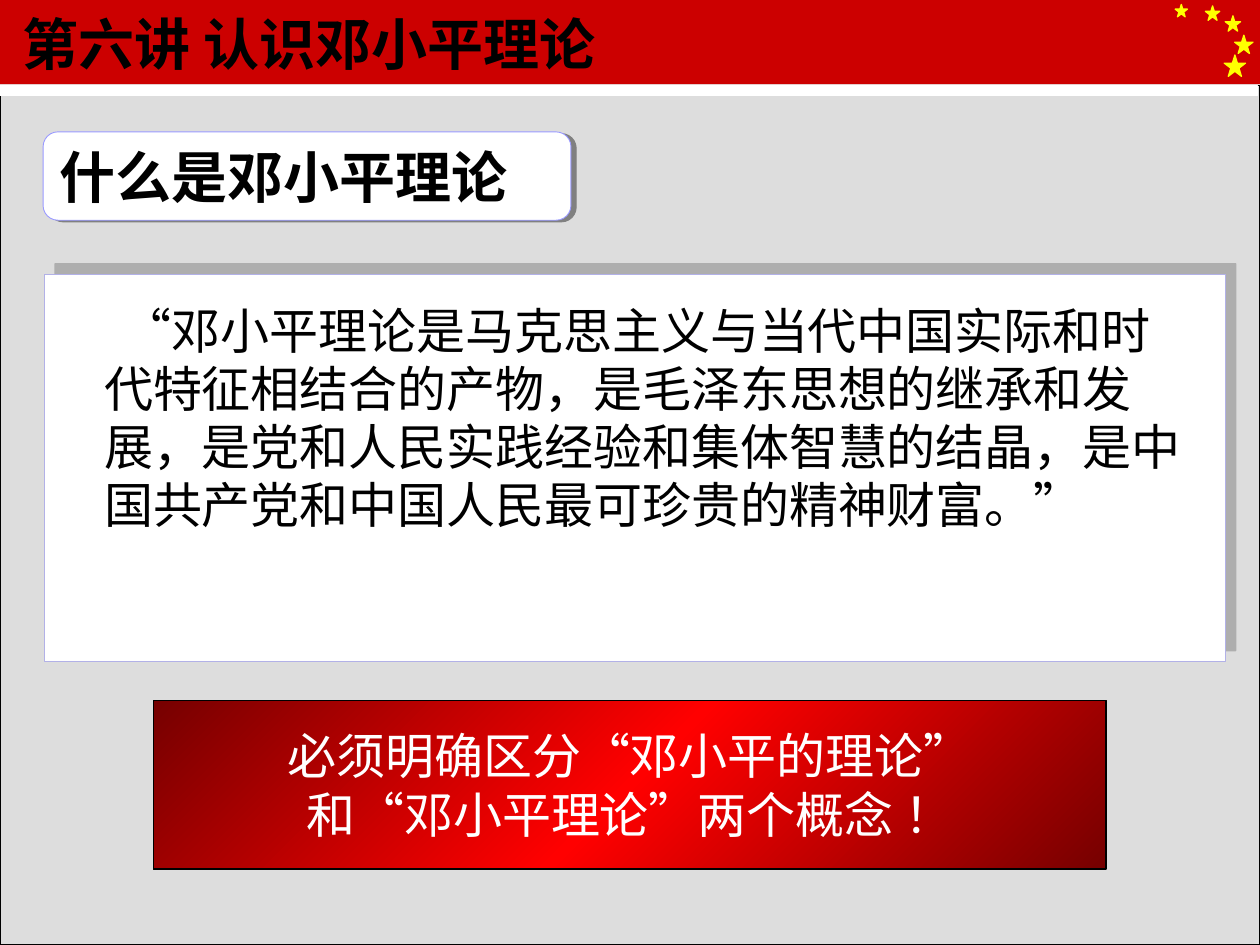
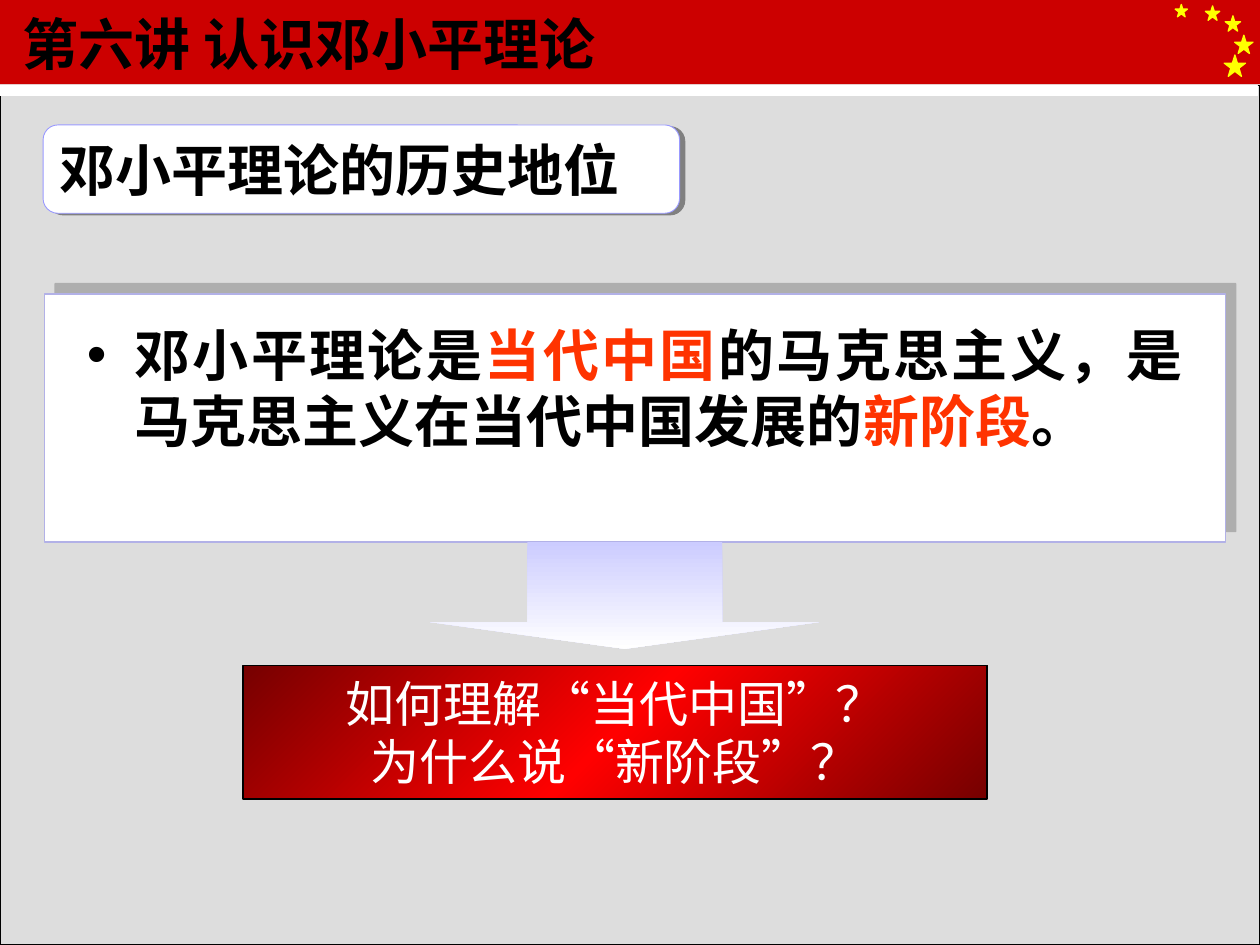
import dataclasses

import lxml.etree
import pptx
import pptx.dml.color
import pptx.enum.shapes
import pptx.enum.text
import pptx.oxml.ns
import pptx.util

Cm, Pt = pptx.util.Cm, pptx.util.Pt
SHAPE = pptx.enum.shapes.MSO_SHAPE
ALIGN = pptx.enum.text.PP_ALIGN
ANCHOR = pptx.enum.text.MSO_ANCHOR
qn = pptx.oxml.ns.qn


@dataclasses.dataclass(frozen=True)
class Theme:
    back: str = "EAEAEA"
    page: str = "DDDDDD"
    band: str = "CC0000"
    star: str = "FFFF00"
    white: str = "FFFFFF"
    ink: str = "000000"
    key: str = "FF3300"
    shade: str = "808080"
    edge: str = "B2B1E7"
    rim: str = "9999FF"
    glow: tuple = ("760000", "FF0000", "760000")
    fade: tuple = ("CCCCFF", "FFFFFF")
    font: str = "Noto Sans CJK SC"
    serif: str = "Times New Roman"
    head: int = 32
    body: int = 28


THEME = Theme()
TITLE = "第六讲 认识邓小平理论"
# left, top and size of each star, in cm
STARS = [(23.69, 0.09, 0.25), (24.3, 0.12, 0.29), (24.7, 0.32, 0.31),
         (24.89, 0.71, 0.37), (24.68, 1.11, 0.43)]
LEADING = 1.19


def rgb(code):
    return pptx.dml.color.RGBColor.from_string(code)


def add_node(parent, tag, **attrs):
    """Append a DrawingML element with the given attributes."""
    return lxml.etree.SubElement(
        parent, qn(tag), {name: str(value) for name, value in attrs.items()})


def add_form(slide, kind, left, top, width, height,
             fill=None, line=None, weight=0.75):
    """Add a preset shape, measured in cm, without a theme shadow."""
    form = slide.shapes.add_shape(
        kind, Cm(left), Cm(top), Cm(width), Cm(height))
    form.shadow.inherit = False
    if fill:
        form.fill.solid()
        form.fill.fore_color.rgb = rgb(fill)
    if line:
        form.line.color.rgb = rgb(line)
        form.line.width = Pt(weight)
    else:
        form.line.fill.background()
    return form


def set_blend(form, codes, angle):
    """Fill with evenly spaced colours; the angle runs clockwise."""
    form.fill.gradient()
    form.fill.gradient_angle = 360 - angle
    stops = form._element.spPr.find(qn("a:gradFill")).find(qn("a:gsLst"))
    for stop in list(stops):
        stops.remove(stop)
    for i, code in enumerate(codes):
        stop = add_node(stops, "a:gs", pos=100000 * i // (len(codes) - 1))
        add_node(stop, "a:srgbClr", val=code)


def set_shade(form, reach, angle, alpha):
    """Cast a hard shadow: reach in points, angle in degrees, alpha in %."""
    effects = form._element.spPr.find(qn("a:effectLst"))
    shade = add_node(effects, "a:outerShdw", blurRad=0, dist=int(Pt(reach)),
                     dir=angle * 60000, algn="ctr", rotWithShape=0)
    color = add_node(shade, "a:srgbClr", val=THEME.shade)
    add_node(color, "a:alpha", val=alpha * 1000)


def style_run(run, size, color, bold=False, font=THEME.font):
    run.font.size = Pt(size)
    run.font.bold = bold
    run.font.name = font
    run.font.color.rgb = rgb(color)
    add_node(run._r.get_or_add_rPr(), "a:ea", typeface=THEME.font)


def set_frame(frame, anchor, wrap=True):
    frame.word_wrap = wrap
    frame.vertical_anchor = anchor
    frame.margin_left = frame.margin_right = Cm(0.25)
    frame.margin_top = frame.margin_bottom = Cm(0.13)


def add_box(slide, left, top, width, height):
    return slide.shapes.add_textbox(
        Cm(left), Cm(top), Cm(width), Cm(height)).text_frame


def set_head(frame, text):
    """Write one bold heading line, centred in height."""
    set_frame(frame, ANCHOR.MIDDLE)
    frame.text = text
    para = frame.paragraphs[0]
    para.alignment = ALIGN.LEFT
    style_run(para.runs[0], THEME.head, THEME.ink, bold=True)


def add_page(deck):
    """Add a slide with the red band, stars, grey page and title."""
    slide = deck.slides.add_slide(deck.slide_layouts[6])
    slide.background.fill.solid()
    slide.background.fill.fore_color.rgb = rgb(THEME.back)
    add_form(slide, SHAPE.RECTANGLE, 0, 0, 25.4, 1.7, THEME.band)
    for left, top, size in STARS:
        add_form(slide, SHAPE.STAR_5_POINT, left, top, size, size,
                 THEME.star, THEME.star)
    add_form(slide, SHAPE.RECTANGLE, 0, 1.73, 25.4, 17.32,
             THEME.page, THEME.ink)
    add_form(slide, SHAPE.RECTANGLE, 0, 1.73, 25.35, 0.2,
             THEME.white, THEME.white)
    set_head(add_box(slide, 0.21, 0, 18.9, 1.73), TITLE)
    return slide


def add_label(slide, text, top, width):
    """Add the rounded heading of a slide."""
    label = add_form(slide, SHAPE.ROUNDED_RECTANGLE, 0.87, top, width, 1.78,
                     THEME.white, THEME.rim, 0.5)
    set_shade(label, 3.2, 18, 100)
    set_head(label.text_frame, text)


def add_panel(slide, top, height):
    panel = add_form(slide, SHAPE.RECTANGLE, 0.9, top, 23.8, height,
                     THEME.white, THEME.edge)
    set_shade(panel, 8.5, 315, 50)


def add_body(slide, place, parts, size, indent,
             bullet=None, bold=False, align=ALIGN.LEFT):
    """Write one paragraph from (text, colour) parts."""
    frame = add_box(slide, *place)
    set_frame(frame, ANCHOR.TOP)
    para = frame.paragraphs[0]
    props = para._p.get_or_add_pPr()
    props.set("marL", str(Cm(0.96)))
    props.set("indent", str(Cm(indent)))
    props.set("hangingPunct", "0")
    if bullet:
        add_node(props, "a:buFont", typeface="Arial")
        add_node(props, "a:buChar", char=bullet)
    para.alignment = align
    para.line_spacing = Pt(size * LEADING)
    for text, color in parts:
        run = para.add_run()
        run.text = text
        style_run(run, size, color, bold)


def add_call(slide, lines, left, top, width, height):
    """Add the red box with centred lines."""
    call = add_form(slide, SHAPE.RECTANGLE, left, top, width, height,
                    line=THEME.ink)
    set_blend(call, THEME.glow, 45)
    frame = call.text_frame
    set_frame(frame, ANCHOR.MIDDLE, wrap=False)
    frame.text = "\n".join(lines)
    for para in frame.paragraphs:
        para.alignment = ALIGN.CENTER
        para.line_spacing = Pt(THEME.body * LEADING)
        style_run(para.runs[0], THEME.body, THEME.white, font=THEME.serif)


def add_arrow(slide, left, top, width, height):
    arrow = add_form(slide, SHAPE.DOWN_ARROW, left, top, width, height)
    arrow.adjustments[0] = 0.5
    arrow.adjustments[1] = 0.25
    set_blend(arrow, THEME.fade, 90)


def add_theory(deck):
    slide = add_page(deck)
    add_panel(slide, 5.53, 7.8)
    quote = ("“邓小平理论是马克思主义与当代中国实际和时代特征相结合的产物，"
             "是毛泽东思想的继承和发展，是党和人民实践经验和集体智慧的结晶，"
             "是中国共产党和中国人民最可珍贵的精神财富。”")
    add_body(slide, (0.89, 5.93, 23.2, 7.2), [(quote, THEME.ink)],
             THEME.body, indent=0.38)
    add_label(slide, "什么是邓小平理论", 2.66, 10.64)
    add_call(slide, ["必须明确区分“邓小平的理论”", "和“邓小平理论”两个概念 ！"],
             3.1, 14.12, 19.2, 3.4)


def add_status(deck):
    slide = add_page(deck)
    add_panel(slide, 5.93, 5)
    parts = [("邓小平理论是", THEME.ink), ("当代中国", THEME.key),
             ("的马克思主义，是马克思主义在当代中国发展的", THEME.ink),
             ("新阶段", THEME.key), ("。", THEME.ink)]
    add_body(slide, (1.5, 6.34, 22.6, 4.4), parts, THEME.head, indent=-0.96,
             bullet="•", bold=True, align=ALIGN.JUSTIFY)
    add_label(slide, "邓小平理论的历史地位", 2.52, 12.83)
    add_call(slide, ["如何理解“当代中国”？", "为什么说“新阶段”？"],
             4.9, 13.41, 15, 2.7)
    add_arrow(slide, 8.67, 10.92, 7.85, 2.16)


def main():
    deck = pptx.Presentation()
    deck.slide_width, deck.slide_height = Cm(25.4), Cm(19.05)
    add_theory(deck)
    add_status(deck)
    deck.save("out.pptx")


if __name__ == "__main__":
    main()
